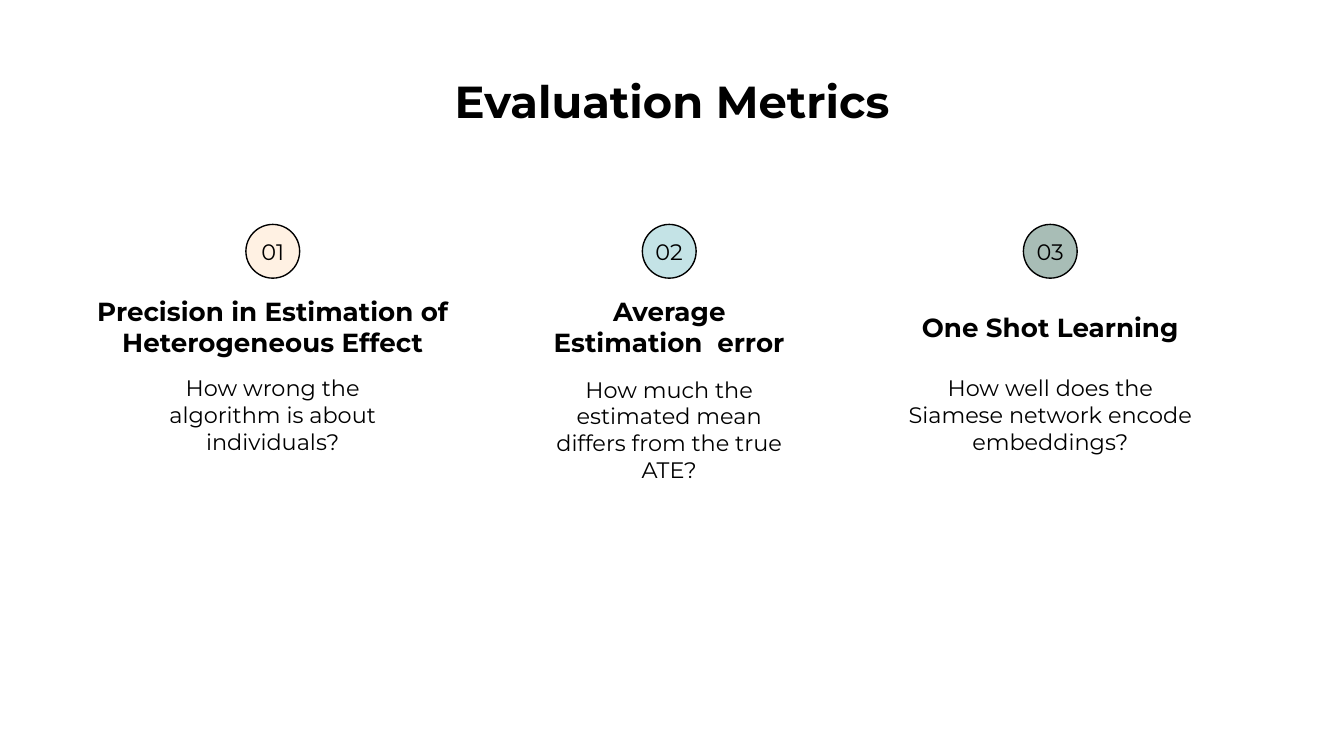
import pptx
import pptx.util
import pptx.dml.color
import pptx.enum.shapes
import pptx.enum.text

Inch = pptx.util.Inches
Color = pptx.dml.color.RGBColor.from_string
Anchor = pptx.enum.text.MSO_ANCHOR

theme = {
    "font": "Montserrat",
    "ink": "000000",
    "title": 24,
    "head": 14,
    "text": 12,
    "line": 0.75,
}
wide = 10
high = wide * 9 / 16
col = wide / 100
dot = 4 * col
pad = col


def place(shape, mid, top, width, height):
    shape.left, shape.top = Inch(mid - width / 2), Inch(top)
    shape.width, shape.height = Inch(width), Inch(height)


def write(shape, words, size, bold=False, anchor=Anchor.MIDDLE, side=pad):
    frame = shape.text_frame
    frame.word_wrap = True
    frame.auto_size = pptx.enum.text.MSO_AUTO_SIZE.NONE
    frame.vertical_anchor = anchor
    frame.margin_left = frame.margin_right = Inch(side)
    frame.margin_top = frame.margin_bottom = Inch(pad)
    para = frame.paragraphs[0]
    para.alignment = pptx.enum.text.PP_ALIGN.CENTER
    run = para.add_run()
    run.text = words
    run.font.name = theme["font"]
    run.font.size = pptx.util.Pt(theme[size])
    run.font.bold = bold
    run.font.color.rgb = Color(theme["ink"])


deck = pptx.Presentation()
deck.slide_width, deck.slide_height = Inch(wide), Inch(high)
slide = deck.slides.add_slide(deck.slide_layouts[5])
shapes = slide.shapes

title = shapes.title
place(title, wide / 2, 0.08 * high, 0.9 * wide, 0.11 * high)
write(title, "Evaluation Metrics", "title", True, Anchor.TOP)

cards = [
    (20.3, "FFF1E3", "Precision in Estimation of Heterogeneous Effect", 31.4,
     "How wrong the algorithm is about individuals?", 20, 27.1),
    (49.8, "C4E3E6", "Average Estimation  error", 20,
     "How much the estimated mean differs from the true ATE?", 20, 28.2),
    (78.15, "A8BDB6", "One Shot Learning", 25.6,
     "How well does the Siamese network encode embeddings?", 24.2, 27.1),
]

for count, (spot, fill, head, span, text, room, top) in enumerate(cards, 1):
    mid = spot * col

    label = shapes.add_textbox(0, 0, 0, 0)
    place(label, mid, 21.25 * col, span * col, 6.1 * col)
    write(label, head, "head", True)

    note = shapes.add_textbox(0, 0, 0, 0)
    place(note, mid, top * col, room * col, 7.5 * col)
    write(note, text, "text")

    badge = shapes.add_shape(pptx.enum.shapes.MSO_SHAPE.OVAL, 0, 0, 0, 0)
    place(badge, mid, 16.7 * col, dot, dot)
    badge.shadow.inherit = False
    badge.fill.solid()
    badge.fill.fore_color.rgb = Color(fill)
    badge.line.color.rgb = Color(theme["ink"])
    badge.line.width = pptx.util.Pt(theme["line"])
    write(badge, f"{count:02d}", "text", side=0)

deck.save("out.pptx")
